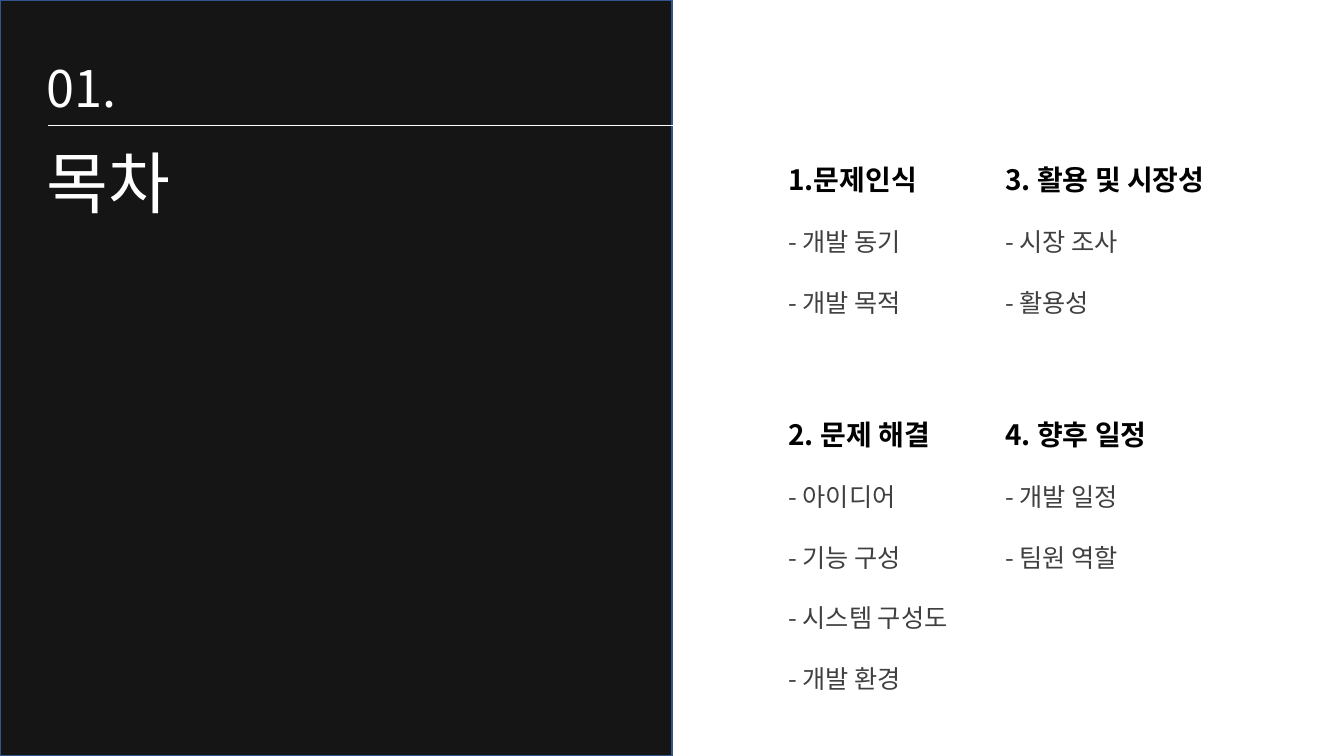
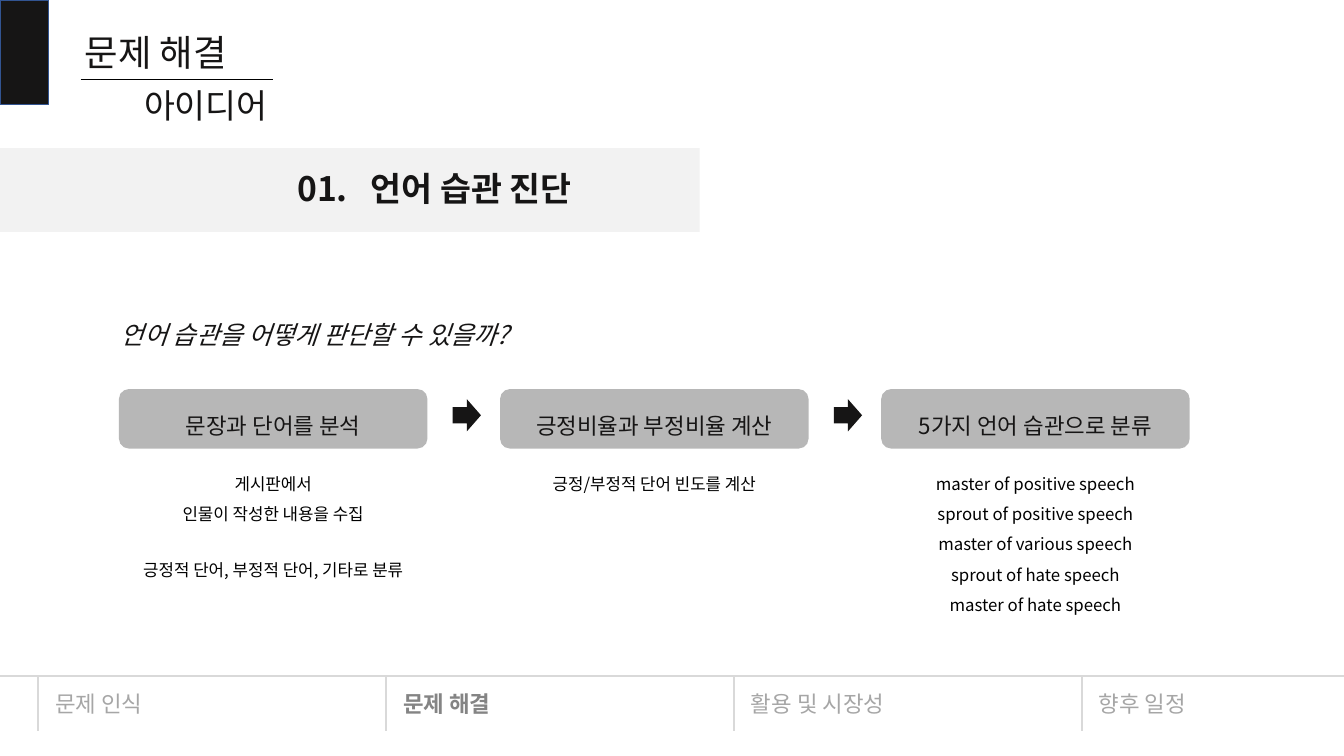
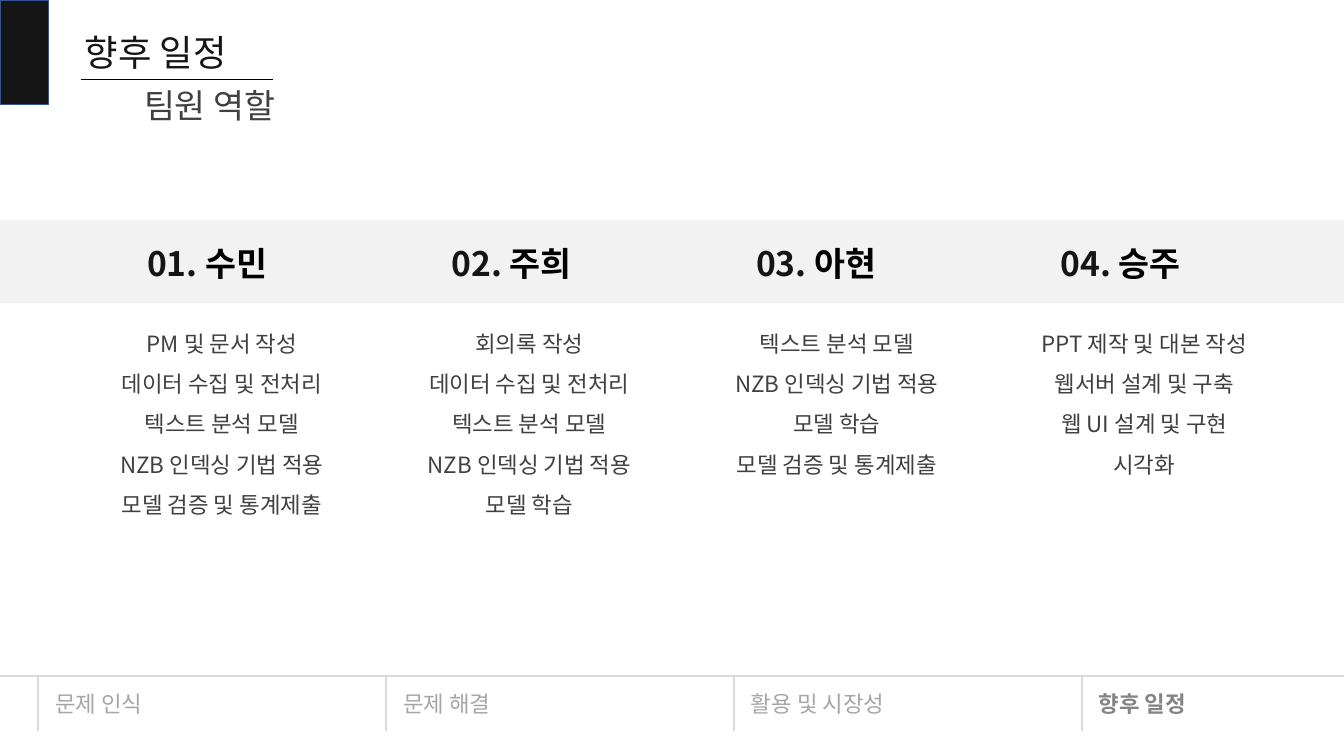
from lxml import etree
from pptx import Presentation
from pptx.dml.color import RGBColor
from pptx.enum.shapes import MSO_CONNECTOR, MSO_SHAPE
from pptx.enum.text import MSO_ANCHOR, MSO_AUTO_SIZE, PP_ALIGN
from pptx.oxml.ns import qn
from pptx.util import Inches, Pt

RECT, ROUNDED, ARROW = MSO_SHAPE.RECTANGLE, MSO_SHAPE.ROUNDED_RECTANGLE, MSO_SHAPE.RIGHT_ARROW
LEFT, CENTER = PP_ALIGN.LEFT, PP_ALIGN.CENTER
TOP, MIDDLE = MSO_ANCHOR.TOP, MSO_ANCHOR.MIDDLE
STRAIGHT, NO_AUTOFIT = MSO_CONNECTOR.STRAIGHT, MSO_AUTO_SIZE.NONE

WIDTH, HEIGHT = 13.33, 7.5
FONT = "Noto Sans CJK KR"
COLORS = {
    "ink": "161515", "black": "000000", "white": "FFFFFF", "body": "404040",
    "edge": "325491", "band": "F2F2F2", "step": "B7B7B7",
    "rule": "D9D9D9", "muted": "A6A6A6", "active": "848484",
}
SECTIONS = ["문제 인식", "문제 해결", "활용 및 시장성", "향후 일정"]
SECTION_PITCH = 3.45
STEP_PITCH = 3.78
NAME_PITCH, ROLE_PITCH = 3.02, 3.05

# Each row of the contents page holds the blocks of its two columns.
OUTLINE = [
    [["1.문제인식", "- 개발 동기", "- 개발 목적"],
     ["3. 활용 및 시장성", "- 시장 조사", "- 활용성"]],
    [["2. 문제 해결", "- 아이디어", "- 기능 구성", "- 시스템 구성도", "- 개발 환경"],
     ["4. 향후 일정", "- 개발 일정", "- 팀원 역할"]],
]
STEPS = [
    ("문장과 단어를 분석",
     ["게시판에서", "인물이 작성한 내용을 수집", "긍정적 단어, 부정적 단어, 기타로 분류"]),
    ("긍정비율과 부정비율 계산", ["긍정/부정적 단어 빈도를 계산"]),
    ("5가지 언어 습관으로 분류",
     ["master of positive speech", "sprout of positive speech", "master of various speech",
      "sprout of hate speech", "master of hate speech"]),
]
MEMBERS = [
    ("수민", ["PM 및 문서 작성", "데이터 수집 및 전처리", "텍스트 분석 모델",
            "NZB 인덱싱 기법 적용", "모델 검증 및 통계제출"]),
    ("주희", ["회의록 작성", "데이터 수집 및 전처리", "텍스트 분석 모델",
            "NZB 인덱싱 기법 적용", "모델 학습"]),
    ("아현", ["텍스트 분석 모델", "NZB 인덱싱 기법 적용", "모델 학습", "모델 검증 및 통계제출"]),
    ("승주", ["PPT 제작 및 대본 작성", "웹서버 설계 및 구축", "웹 UI 설계 및 구현", "시각화"]),
]


def rgb(color):
    return RGBColor.from_string(COLORS[color])


class Deck:
    def __init__(self):
        self.prs = Presentation()
        self.prs.slide_width, self.prs.slide_height = Inches(WIDTH), Inches(HEIGHT)
        self.slide = None

    def new_slide(self):
        self.slide = self.prs.slides.add_slide(self.prs.slide_layouts[5])

    def style(self, paragraph, size, color, bold=False, italic=False, align=LEFT, spacing=1.0):
        paragraph.alignment, paragraph.line_spacing = align, spacing
        font = paragraph.font
        font.name, font.size, font.bold, font.italic = FONT, Pt(size), bold, italic
        font.color.rgb = rgb(color)
        # East Asian text takes its typeface from a:ea, next to a:latin.
        latin = paragraph._p.pPr.find(qn("a:defRPr")).find(qn("a:latin"))
        east_asian = etree.Element(qn("a:ea"), typeface=FONT)
        latin.addnext(east_asian)

    def fill_frame(self, frame, lines, anchor=TOP, **style):
        """Write the lines as paragraphs of one style and return the paragraphs."""
        frame.word_wrap, frame.auto_size = True, NO_AUTOFIT
        frame.vertical_anchor = anchor
        frame.text = "\n".join(lines)
        for paragraph in frame.paragraphs:
            self.style(paragraph, **style)
        return frame.paragraphs

    def text(self, x, y, w, h, lines, **style):
        box = self.slide.shapes.add_textbox(Inches(x), Inches(y), Inches(w), Inches(h))
        return self.fill_frame(box.text_frame, lines, **style)

    def title(self, x, y, w, h, wording, **style):
        title = self.slide.shapes.title
        title.left, title.top, title.width, title.height = map(Inches, (x, y, w, h))
        self.fill_frame(title.text_frame, [wording], **style)

    def shape(self, kind, x, y, w, h, fill, edge=None):
        shape = self.slide.shapes.add_shape(kind, Inches(x), Inches(y), Inches(w), Inches(h))
        shape.shadow.inherit = False
        shape.fill.solid()
        shape.fill.fore_color.rgb = rgb(fill)
        if edge:
            shape.line.color.rgb, shape.line.width = rgb(edge), Pt(1)
        else:
            shape.line.fill.background()
        return shape

    def rule(self, x1, y1, x2, y2, color, width):
        rule = self.slide.shapes.add_connector(STRAIGHT, *map(Inches, (x1, y1, x2, y2)))
        rule.line.color.rgb, rule.line.width = rgb(color), Pt(width)
        etree.SubElement(rule._element.spPr, qn("a:effectLst"))

    def header(self, section, topic, topic_color):
        self.shape(RECT, 0, 0, 0.48, 1.04, "ink", edge="edge")
        self.title(0.74, 0.25, 5.51, 0.54, section, size=26, color="ink")
        self.text(1.33, 0.79, 1.98, 0.5, [topic], size=24, color=topic_color)
        self.rule(0.8, 0.79, 2.71, 0.79, "black", 0.5)

    def footer(self, current):
        self.rule(0, 6.71, WIDTH, 6.71, "rule", 1.25)
        for i, section in enumerate(SECTIONS):
            x = 0.38 + i * SECTION_PITCH
            active = section == current
            self.rule(x, 6.71, x, 7.25, "rule", 1.25)
            self.text(x + 0.07, 6.8, 1.98, 0.37, [section], size=16,
                      color="active" if active else "muted", bold=active)

    def section_slide(self, section, topic, topic_color):
        self.new_slide()
        self.header(section, topic, topic_color)
        self.footer(section)


def contents_slide(deck):
    deck.new_slide()
    panel = deck.shape(RECT, 0, 0, WIDTH / 2, HEIGHT, "ink", edge="edge")
    deck.slide.shapes.title.element.addprevious(panel.element)  # keeps the title in front
    deck.title(0.36, 1.35, 1.52, 0.91, "목차", size=48, color="white")
    deck.text(0.36, 0.52, 1.2, 0.71, ["01."], size=36, color="white")
    deck.rule(0.48, 1.24, 6.77, 1.24, "white", 0.25)
    for row, blocks in enumerate(OUTLINE):
        for column, lines in enumerate(blocks):
            paragraphs = deck.text(7.72 + 2.15 * column, 1.23 + 2.53 * row, 2.55, 3.12, lines,
                                   size=18, color="body", spacing=2.0)
            heading = paragraphs[0].font
            heading.size, heading.bold, heading.color.rgb = Pt(20), True, rgb("black")


def idea_slide(deck):
    deck.section_slide("문제 해결", "아이디어", "ink")
    deck.shape(RECT, 0, 1.47, 6.94, 0.83, "band")
    heading, = deck.text(2.85, 1.62, 3.55, 0.5, ["01.\t언어 습관 진단"],
                         size=24, color="ink", bold=True)
    tabs = etree.Element(qn("a:tabLst"))
    etree.SubElement(tabs, qn("a:tab"), pos=str(Inches(0.73)), algn="l")
    heading._p.pPr.find(qn("a:defRPr")).addprevious(tabs)
    deck.text(1.1, 2.97, 5.61, 0.5, ["언어 습관을 어떻게 판단할 수 있을까?"],
              size=18, color="ink", italic=True, spacing=1.5)
    for i, (step, details) in enumerate(STEPS):
        x = 1.18 + i * STEP_PITCH
        card = deck.shape(ROUNDED, x, 3.86, 3.06, 0.59, "step")
        deck.fill_frame(card.text_frame, [step], anchor=MIDDLE, size=16, color="ink",
                        align=CENTER, spacing=1.5)
        paragraphs = deck.text(x - 0.14, 4.55, 3.34, 1.58, details, size=12, color="black",
                               align=CENTER, spacing=1.5)
        if i == 0:
            paragraphs[-1].space_before = Pt(18)
        if i < len(STEPS) - 1:
            deck.shape(ARROW, x + 3.31, 3.96, 0.28, 0.32, "ink")


def roles_slide(deck):
    deck.section_slide("향후 일정", "팀원 역할", "body")
    deck.shape(RECT, 0, 2.18, WIDTH, 0.83, "band")
    for i, (member, roles) in enumerate(MEMBERS):
        name, = deck.text(1.36 + i * NAME_PITCH, 2.36, 1.79, 0.5, [f"{i + 1:02}."],
                          size=24, color="ink", bold=True)
        member_run = name.add_run()
        member_run.text = f" {member}"
        member_run.font.color.rgb = rgb("black")
        deck.text(0.7 + i * ROLE_PITCH, 3.09, 3, 2.07, roles, size=16, color="body",
                  align=CENTER, spacing=1.5)


def main():
    deck = Deck()
    contents_slide(deck)
    idea_slide(deck)
    roles_slide(deck)
    deck.prs.save("out.pptx")


if __name__ == "__main__":
    main()
